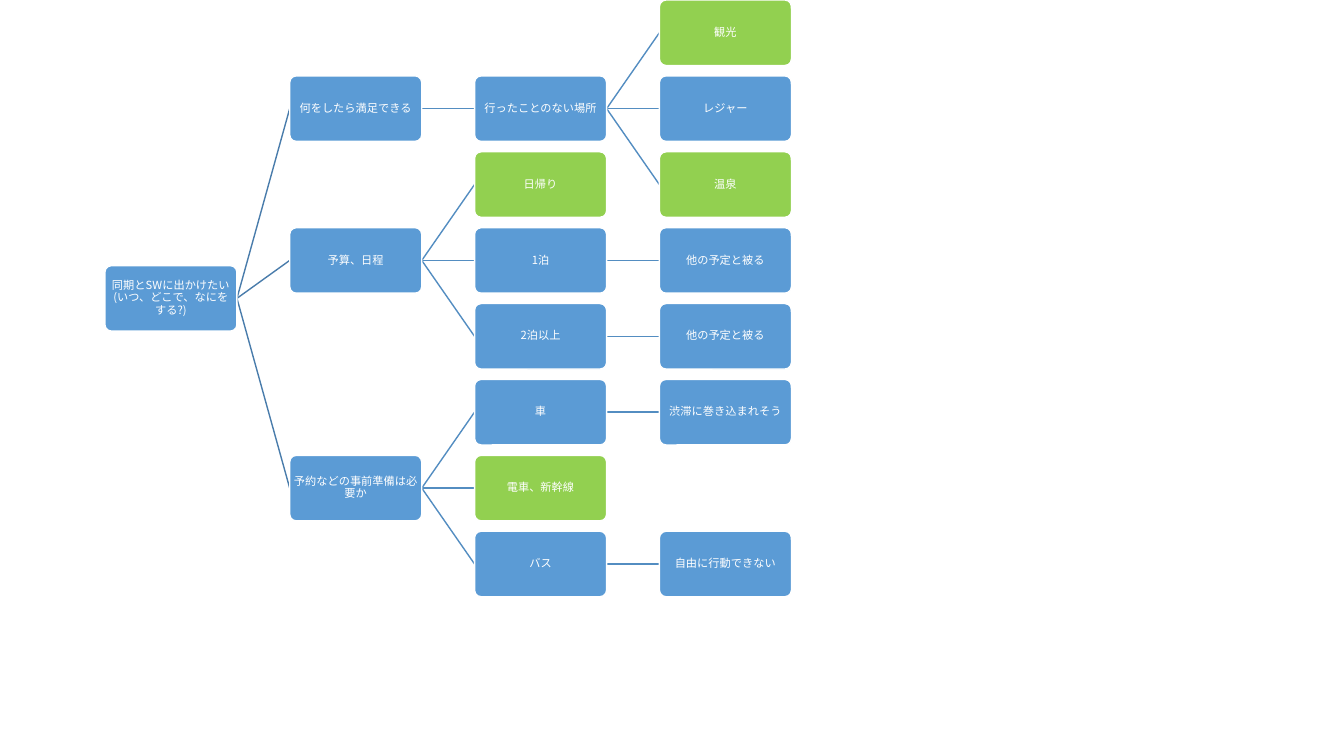
from copy import deepcopy
from dataclasses import dataclass, field

from pptx import Presentation
from pptx.dml.color import RGBColor
from pptx.enum.shapes import MSO_CONNECTOR, MSO_SHAPE
from pptx.enum.text import MSO_ANCHOR, PP_ALIGN
from pptx.oxml.ns import qn
from pptx.oxml.xmlchemy import OxmlElement
from pptx.util import Inches, Pt

BLUE, GREEN, WHITE = "5B9BD5", "92D050", "FFFFFF"
ROOT_LINE, BRANCH_LINE = "497CAB", "538DC1"
LEFT, BOX_W, BOX_H = 1.04, 1.31, 0.65
COLUMN_STEP = (6.54 - LEFT) / 3
ROW_STEP = 5.27 / 7


def rgb(hex_color):
    return RGBColor.from_string(hex_color)


@dataclass
class Node:
    text: str
    children: list = field(default_factory=list)
    color: str = BLUE
    row: float = 0


class TreeSlide:
    font = "Noto Sans CJK JP"
    size = Pt(8)

    def __init__(self, prs):
        self.slide = prs.slides.add_slide(prs.slide_layouts[6])

    def box(self, x, y, text, color):
        shape = self.slide.shapes.add_shape(
            MSO_SHAPE.ROUNDED_RECTANGLE, Inches(x), Inches(y), Inches(BOX_W), Inches(BOX_H))
        shape.adjustments[0] = 0.1
        shape.shadow.inherit = False
        shape.fill.solid()
        shape.fill.fore_color.rgb = rgb(color)
        shape.line.color.rgb = rgb(WHITE)
        shape.line.width = Pt(1)
        self.label(shape.text_frame, text)

    def label(self, frame, text):
        frame.word_wrap = True
        frame.vertical_anchor = MSO_ANCHOR.MIDDLE
        frame.margin_left = frame.margin_right = Inches(0.01)
        frame.margin_top = frame.margin_bottom = Inches(0.01)
        paragraph = frame.paragraphs[0]
        paragraph.text = text
        paragraph.alignment = PP_ALIGN.CENTER
        paragraph.line_spacing = 0.9
        for run in paragraph.runs:
            run.font.size = self.size
            run.font.name = self.font
            run.font.color.rgb = rgb(WHITE)
            east_asian = OxmlElement("a:ea")
            east_asian.set("typeface", self.font)
            run.font._element.append(east_asian)
        # Line breaks take the same size as the text around them
        for line_break in paragraph._p.findall(qn("a:br")):
            line_break.append(deepcopy(paragraph.runs[0].font._element))

    def line(self, x1, y1, x2, y2, color):
        connector = self.slide.shapes.add_connector(
            MSO_CONNECTOR.STRAIGHT, Inches(x1), Inches(y1), Inches(x2), Inches(y2))
        connector.line.color.rgb = rgb(color)
        connector.line.width = Pt(1)
        connector._element.spPr.append(OxmlElement("a:effectLst"))

    def tree(self, node, level=0):
        x, y = LEFT + level * COLUMN_STEP, node.row * ROW_STEP
        color = BRANCH_LINE if level else ROOT_LINE
        for child in node.children:
            self.line(x + BOX_W, y + BOX_H / 2, x + COLUMN_STEP,
                      child.row * ROW_STEP + BOX_H / 2, color)
            self.tree(child, level + 1)
        self.box(x, y, node.text, node.color)


def assign_rows(node, next_row=0):
    """Give each leaf its own row and centre each parent on its children."""
    if not node.children:
        node.row = next_row
        return next_row + 1
    for child in node.children:
        next_row = assign_rows(child, next_row)
    node.row = (node.children[0].row + node.children[-1].row) / 2
    return next_row


# Decision tree; green marks the chosen options
trip = Node("同期とSWに出かけたい\v(いつ、どこで、なにをする?)", [
    Node("何をしたら満足できる", [
        Node("行ったことのない場所", [
            Node("観光", color=GREEN),
            Node("レジャー"),
            Node("温泉", color=GREEN),
        ]),
    ]),
    Node("予算、日程", [
        Node("日帰り", color=GREEN),
        Node("1泊", [Node("他の予定と被る")]),
        Node("2泊以上", [Node("他の予定と被る")]),
    ]),
    Node("予約などの事前準備は必要か", [
        Node("車", [Node("渋滞に巻き込まれそう")]),
        Node("電車、新幹線", color=GREEN),
        Node("バス", [Node("自由に行動できない")]),
    ]),
])

# The leaf 日帰り shares row 2 with 温泉, so each branch starts at its own row
for branch, first_row in zip(trip.children, (0, 2, 5)):
    assign_rows(branch, first_row)
trip.row = (trip.children[0].row + trip.children[-1].row) / 2

prs = Presentation()
prs.slide_width, prs.slide_height = Inches(13.33), Inches(7.5)
TreeSlide(prs).tree(trip)
prs.save("out.pptx")
